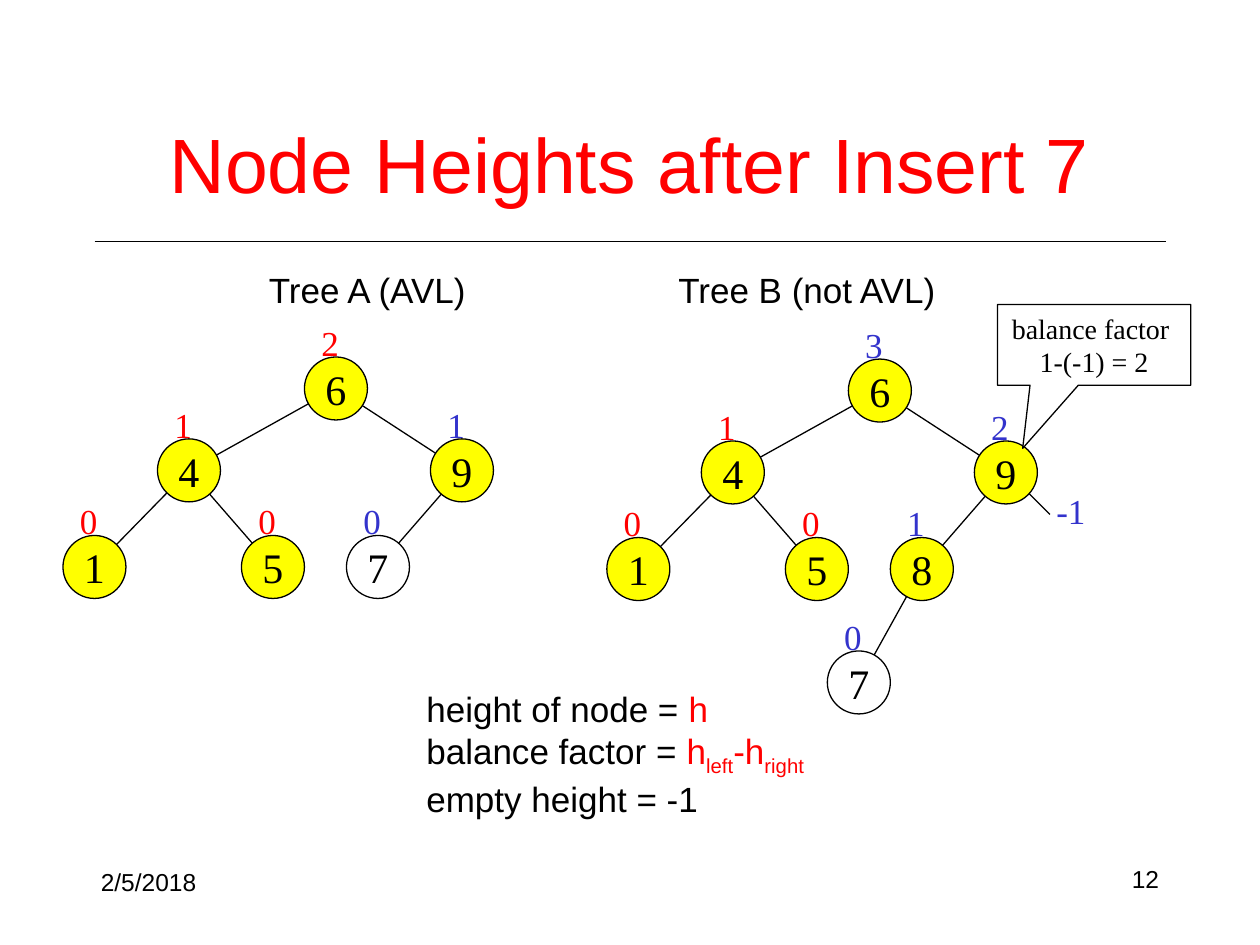
from dataclasses import dataclass
from math import hypot

from lxml.etree import SubElement
from pptx import Presentation
from pptx.dml.color import RGBColor
from pptx.enum.shapes import MSO_CONNECTOR, MSO_SHAPE
from pptx.enum.text import MSO_ANCHOR, PP_ALIGN
from pptx.oxml.ns import qn
from pptx.util import Inches, Pt

# The slide is a grid of 120 columns and 90 rows, 12 to the inch
COLUMNS, ROWS = 120, 90
NODE = 6  # diameter of a tree node


@dataclass(frozen=True)
class Theme:
    sans: str = "Arial"
    serif: str = "Times New Roman"
    black: RGBColor = RGBColor(0, 0, 0)
    white: RGBColor = RGBColor(255, 255, 255)
    red: RGBColor = RGBColor(255, 0, 0)
    blue: RGBColor = RGBColor(0x33, 0x33, 0xCC)
    yellow: RGBColor = RGBColor(255, 255, 0)
    title: int = 44
    key: int = 24
    body: int = 20
    callout: int = 16
    footer: int = 14
    line: float = 0.75


THEME = Theme()

# Tree positions, relative to the far left node's column and the root's row
SLOTS = {
    "root": (23, 0), "L": (9, 7.8), "R": (35, 7.8),
    "LL": (0, 17), "LR": (17, 17), "RL": (27, 17), "RLL": (21, 27.8),
}
# Slot: key, height, height colour, node fill
SHARED_NODES = {
    "L": (4, 1, THEME.red, THEME.yellow),
    "LL": (1, 0, THEME.red, THEME.yellow),
    "LR": (5, 0, THEME.red, THEME.yellow),
}
TREE_A = SHARED_NODES | {
    "root": (6, 2, THEME.red, THEME.yellow),
    "R": (9, 1, THEME.blue, THEME.yellow),
    "RL": (7, 0, THEME.blue, None),
}
TREE_B = SHARED_NODES | {
    "root": (6, 3, THEME.blue, THEME.yellow),
    "R": (9, 2, THEME.blue, THEME.yellow),
    "RL": (8, 1, THEME.blue, THEME.yellow),
    "RLL": (7, 0, THEME.blue, None),
}


def grid(value):
    return Inches(value / 12)


def style_paragraph(paragraph, font, size, color, align=PP_ALIGN.LEFT):
    paragraph.alignment = align
    paragraph.font.name = font
    paragraph.font.size = Pt(size)
    paragraph.font.color.rgb = color


def prepare_frame(frame, anchor=MSO_ANCHOR.TOP, wrap=False):
    frame.word_wrap = wrap
    frame.vertical_anchor = anchor
    frame.margin_left = frame.margin_right = Inches(0.05)
    frame.margin_top = frame.margin_bottom = Inches(0.05)


def add_text(slide, box, lines, font, size, color=THEME.black,
             align=PP_ALIGN.LEFT, anchor=MSO_ANCHOR.TOP, wrap=False):
    frame = slide.shapes.add_textbox(*map(grid, box)).text_frame
    prepare_frame(frame, anchor, wrap)
    frame.text = "\n".join(lines)
    for paragraph in frame.paragraphs:
        style_paragraph(paragraph, font, size, color, align)
    return frame


def add_line(slide, start, end):
    line = slide.shapes.add_connector(
        MSO_CONNECTOR.STRAIGHT, *map(grid, (*start, *end)))
    line.line.color.rgb = THEME.black
    line.line.width = Pt(THEME.line)
    SubElement(line._element.spPr, qn("a:effectLst"))


def paint(shape, fill):
    shape.shadow.inherit = False
    shape.line.color.rgb = THEME.black
    shape.line.width = Pt(THEME.line)
    if fill is None:
        shape.fill.background()
    else:
        shape.fill.solid()
        shape.fill.fore_color.rgb = fill


def add_edge(slide, parent, child):
    """Join two nodes, given by their corners, from rim to rim."""
    (x1, y1), (x2, y2) = [(x + NODE / 2, y + NODE / 2) for x, y in (parent, child)]
    share = NODE / 2 / hypot(x2 - x1, y2 - y1)
    dx, dy = (x2 - x1) * share, (y2 - y1) * share
    add_line(slide, (x1 + dx, y1 + dy), (x2 - dx, y2 - dy))


def add_node(slide, corner, key, height, height_color, fill):
    x, y = corner
    circle = slide.shapes.add_shape(
        MSO_SHAPE.OVAL, *map(grid, (x, y, NODE, NODE)))
    paint(circle, fill)
    prepare_frame(circle.text_frame, MSO_ANCHOR.MIDDLE)
    circle.text_frame.text = str(key)
    style_paragraph(circle.text_frame.paragraphs[0], THEME.serif, THEME.key,
                    THEME.black, PP_ALIGN.CENTER)
    add_text(slide, (x + 1, y - 4, 3, 5), [str(height)],
             THEME.serif, THEME.body, height_color)


def add_tree(slide, left, top, nodes):
    corners = {slot: (left + SLOTS[slot][0], top + SLOTS[slot][1])
               for slot in nodes}
    for slot, corner in corners.items():
        if slot != "root":
            add_edge(slide, corners[slot[:-1] or "root"], corner)
    for slot, node in nodes.items():
        add_node(slide, corners[slot], *node)


def add_callout(slide):
    left, top, right, bottom = 95, 29, 113.4, 36.7
    outline = [(left, top), (left, bottom), (98.1, bottom), (97.4, 42.7),
               (102.7, bottom), (right, bottom), (right, top)]
    corners = [(grid(x), grid(y)) for x, y in outline]
    builder = slide.shapes.build_freeform(*corners[0], scale=1.0)
    builder.add_line_segments(corners[1:], close=True)
    paint(builder.convert_to_shape(), THEME.white)
    add_text(slide, (left, top, right - left, bottom - top),
             ["balance factor ", "1-(-1) = 2"], THEME.serif, THEME.callout,
             align=PP_ALIGN.CENTER, anchor=MSO_ANCHOR.MIDDLE)


def add_definitions(slide):
    frame = add_text(slide, (40, 64.9, 39, 13),
                     ["height of node = ", "balance factor = ",
                      "empty height = -1"], THEME.sans, THEME.body)
    height, balance, _ = frame.paragraphs
    for paragraph, term, subscript in (
            (height, "h", False), (balance, "h", False),
            (balance, "left", True), (balance, "-h", False),
            (balance, "right", True)):
        run = paragraph.add_run()
        run.text = term
        run.font.color.rgb = THEME.red
        if subscript:
            run._r.get_or_add_rPr().set("baseline", "-25000")


def main():
    deck = Presentation()
    deck.slide_width, deck.slide_height = grid(COLUMNS), grid(ROWS)
    slide = deck.slides.add_slide(deck.slide_layouts[6])

    # Title and rule
    add_text(slide, (9, 8, 102, 15), ["Node Heights after Insert 7"],
             THEME.sans, THEME.title, THEME.red, PP_ALIGN.CENTER,
             MSO_ANCHOR.MIDDLE, wrap=True)
    add_line(slide, (9, 23), (111, 23))

    # Trees
    add_text(slide, (25, 25, 22, 5), ["Tree A (AVL)"],
             THEME.sans, THEME.body, wrap=True)
    add_text(slide, (64, 25, 30, 5), ["Tree B (not AVL)"],
             THEME.sans, THEME.body, wrap=True)
    add_tree(slide, 6, 34, TREE_A)
    add_tree(slide, 57.8, 34.2, TREE_B)

    # Empty right subtree of node 9 and its balance factor
    add_line(slide, (98, 47), (100, 49))
    add_text(slide, (100, 46, 4.2, 5), ["-1"],
             THEME.serif, THEME.body, THEME.blue)
    add_callout(slide)

    add_definitions(slide)

    # Footer
    add_text(slide, (9, 82, 25, 4), ["2/5/2018"],
             THEME.sans, THEME.footer, wrap=True)
    page = add_text(slide, (86, 82, 25, 4), ["12"], THEME.sans, THEME.footer,
                    align=PP_ALIGN.RIGHT, wrap=True)
    page.paragraphs[0].line_spacing = 0.9

    deck.save("out.pptx")


if __name__ == "__main__":
    main()
